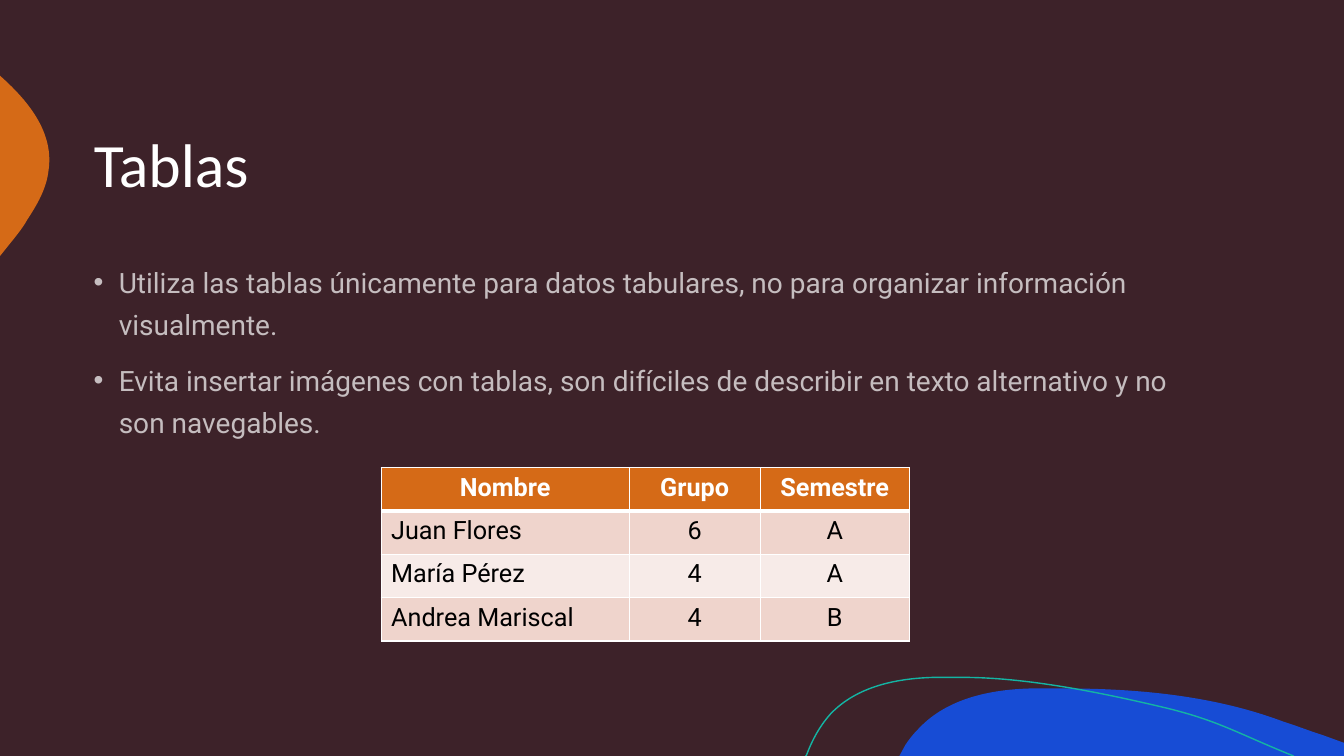
import dataclasses
import typing

import lxml.etree
import pptx
import pptx.dml.color
import pptx.enum.text
import pptx.oxml
import pptx.oxml.ns
import pptx.util

PX = 9144  # EMU in one px, 100 px to the inch
COLORS = {
    "background": "3D2229", "blue": "174CD5", "orange": "D56A17", "teal": "14B4A3",
    "white": "FFFFFF", "black": "000000", "odd row": "EFD4CC", "even row": "F7EBE8",
}
LEFT = pptx.enum.text.PP_ALIGN.LEFT
CENTER = pptx.enum.text.PP_ALIGN.CENTER
TITLE_FONT = {"name": "Calibri", "size": pptx.util.Pt(44), "bold": False}
BULLET_FONT = {"name": "Roboto", "size": pptx.util.Pt(20), "bold": False}
HEADER_FONT = {"name": "Roboto", "size": pptx.util.Pt(18), "bold": True}
CELL_FONT = {**HEADER_FONT, "bold": False}

BULLETS = [
    "Utiliza las tablas únicamente para datos tabulares, no para organizar información visualmente.",
    "Evita insertar imágenes con tablas, son difíciles de describir en texto alternativo y no son navegables.",
]
STUDENTS = [
    ("Nombre", "Grupo", "Semestre"),
    ("Juan Flores", "6", "A"),
    ("María Pérez", "4", "A"),
    ("Andrea Mariscal", "4", "B"),
]
COLUMN_WIDTHS = (246, 130, 148)
ROW_HEIGHT = 43

Point = tuple[int, int]


@dataclasses.dataclass(frozen=True)
class Wave:
    """A segment holds one point for a line, or three for a Bézier curve."""
    start: Point
    segments: list[tuple[Point, ...]]
    fill: typing.Optional[str] = None
    line: typing.Optional[str] = None


WAVES = [
    Wave((1054, 683), [
        ((1128, 683), (1204, 690), (1273, 716)),
        ((1286, 720), (1298, 725), (1311, 729)),
        ((1333, 737),), ((1333, 750),), ((892, 750),), ((898, 739),),
        ((902, 733), (906, 728), (911, 723)),
        ((939, 693), (982, 684), (1023, 683)),
        ((1033, 683), (1043, 683), (1054, 683)),
    ], fill="blue"),
    Wave((0, 75), [
        ((1, 76),),
        ((30, 102), (54, 133), (48, 170)),
        ((46, 187), (37, 203), (27, 218)),
        ((24, 224), (17, 233), (8, 244)),
        ((0, 254),),
    ], fill="orange"),
    Wave((799, 750), [
        ((800, 749),),
        ((806, 733), (814, 719), (824, 708)),
        ((850, 681), (889, 673), (926, 672)),
        ((955, 672),),
        ((1022, 672), (1100, 689), (1155, 702)),
        ((1209, 715), (1226, 727), (1283, 750)),
    ], line="teal"),
]


def rgb(color: str) -> pptx.dml.color.RGBColor:
    return pptx.dml.color.RGBColor.from_string(COLORS[color])


def apply_format(target: typing.Any, formats: dict[str, typing.Any]) -> None:
    for attribute, value in formats.items():
        setattr(target, attribute, value)


def box(left: int, top: int, width: int, height: int) -> dict[str, int]:
    return {"left": left * PX, "top": top * PX, "width": width * PX, "height": height * PX}


def write(paragraph: typing.Any, text: str, font: dict[str, typing.Any], color: str) -> typing.Any:
    run = paragraph.add_run()
    run.text = text
    apply_format(run.font, font)
    run.font.color.rgb = rgb(color)
    return run


def bend_segments(outline: typing.Any, segments: list[tuple[Point, ...]]) -> None:
    """Turn each straight stretch that has control points into a Bézier curve."""
    stretches = outline._element.findall(".//" + pptx.oxml.ns.qn("a:lnTo"))
    for stretch, (*controls, _) in zip(stretches, segments):
        if controls:
            stretch.tag = pptx.oxml.ns.qn("a:cubicBezTo")
        for position, (x, y) in enumerate(controls):
            control = lxml.etree.Element(pptx.oxml.ns.qn("a:pt"))
            control.set("x", str(x * PX - outline.left))
            control.set("y", str(y * PX - outline.top))
            stretch.insert(position, control)


def draw_wave(slide: typing.Any, wave: Wave) -> None:
    ends = [(x * PX, y * PX) for x, y in (segment[-1] for segment in wave.segments)]
    builder = slide.shapes.build_freeform(wave.start[0] * PX, wave.start[1] * PX)
    builder.add_line_segments(ends, close=wave.fill is not None)
    outline = builder.convert_to_shape()
    bend_segments(outline, wave.segments)
    outline.shadow.inherit = False
    if wave.fill:
        outline.fill.solid()
        outline.fill.fore_color.rgb = rgb(wave.fill)
    else:
        outline.fill.background()
    if wave.line:
        outline.line.color.rgb = rgb(wave.line)
        outline.line.width = pptx.util.Pt(1)
    else:
        outline.line.fill.background()


def draw_title(slide: typing.Any) -> None:
    title = slide.shapes.title
    apply_format(title, box(83, 83, 1167, 167))
    apply_format(title.text_frame, {
        "word_wrap": True,
        "auto_size": pptx.enum.text.MSO_AUTO_SIZE.NONE,
        "vertical_anchor": pptx.enum.text.MSO_ANCHOR.MIDDLE,
    })
    heading = title.text_frame.paragraphs[0]
    apply_format(heading, {"alignment": LEFT, "line_spacing": 0.9})
    write(heading, "Tablas", TITLE_FONT, "white")


def draw_bullets(slide: typing.Any) -> None:
    advice = slide.shapes.add_textbox(**box(83, 250, 1103, 203)).text_frame
    advice.word_wrap = True
    for index, text in enumerate(BULLETS):
        paragraph = advice.add_paragraph() if index else advice.paragraphs[0]
        properties = paragraph._p.get_or_add_pPr()
        properties.set("marL", str(25 * PX))
        properties.set("indent", str(-25 * PX))
        for tag, attribute, value in (("a:buFont", "typeface", "Arial"), ("a:buChar", "char", "•")):
            lxml.etree.SubElement(properties, pptx.oxml.ns.qn(tag)).set(attribute, value)
        apply_format(paragraph, {"line_spacing": 1.25, "space_before": pptx.util.Pt(10 if index else 0)})
        run = write(paragraph, text, BULLET_FONT, "white")
        tint = run._r.find(".//" + pptx.oxml.ns.qn("a:srgbClr"))
        lxml.etree.SubElement(tint, pptx.oxml.ns.qn("a:alpha")).set("val", "70000")


def add_borders(cell: typing.Any, widths: dict[str, int]) -> None:
    properties = cell._tc.get_or_add_tcPr()
    for position, (side, points) in enumerate(widths.items()):
        properties.insert(position, pptx.oxml.parse_xml(
            f'<a:ln{side} {pptx.oxml.ns.nsdecls("a")} w="{pptx.util.Pt(points)}">'
            f'<a:solidFill><a:srgbClr val="{COLORS["white"]}"/></a:solidFill></a:ln{side}>'))


def draw_students(slide: typing.Any) -> None:
    frame = box(378, 464, sum(COLUMN_WIDTHS), ROW_HEIGHT * len(STUDENTS))
    table = slide.shapes.add_table(len(STUDENTS), len(COLUMN_WIDTHS), **frame).table
    for column, width in zip(table.columns, COLUMN_WIDTHS):
        column.width = width * PX
    for row_index, student in enumerate(STUDENTS):
        table.rows[row_index].height = ROW_HEIGHT * PX
        is_header = row_index == 0
        fill = "orange" if is_header else "odd row" if row_index % 2 else "even row"
        for column_index, text in enumerate(student):
            cell = table.cell(row_index, column_index)
            cell.fill.solid()
            cell.fill.fore_color.rgb = rgb(fill)
            add_borders(cell, {"L": 1, "R": 1, "T": 3 if row_index == 1 else 1, "B": 3 if is_header else 1})
            paragraph = cell.text_frame.paragraphs[0]
            paragraph.alignment = CENTER if is_header or column_index else LEFT
            write(paragraph, text, HEADER_FONT if is_header else CELL_FONT,
                  "white" if is_header else "black")


def main() -> None:
    presentation = pptx.Presentation()
    apply_format(presentation, {"slide_width": 1333 * PX, "slide_height": 750 * PX})
    slide = presentation.slides.add_slide(presentation.slide_layouts.get_by_name("Title Only"))
    slide.background.fill.solid()
    slide.background.fill.fore_color.rgb = rgb("background")
    for wave in WAVES:
        draw_wave(slide, wave)
    draw_title(slide)
    draw_bullets(slide)
    draw_students(slide)
    presentation.save("out.pptx")


if __name__ == "__main__":
    main()
